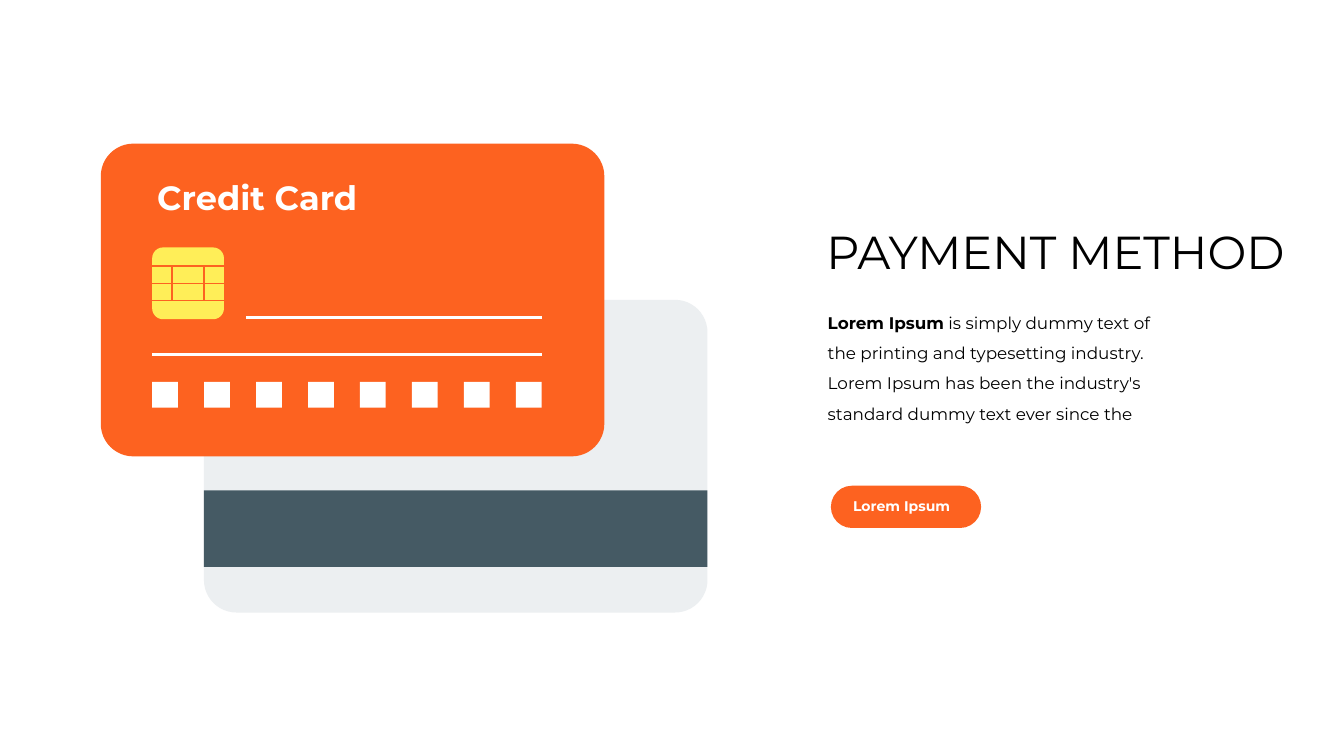
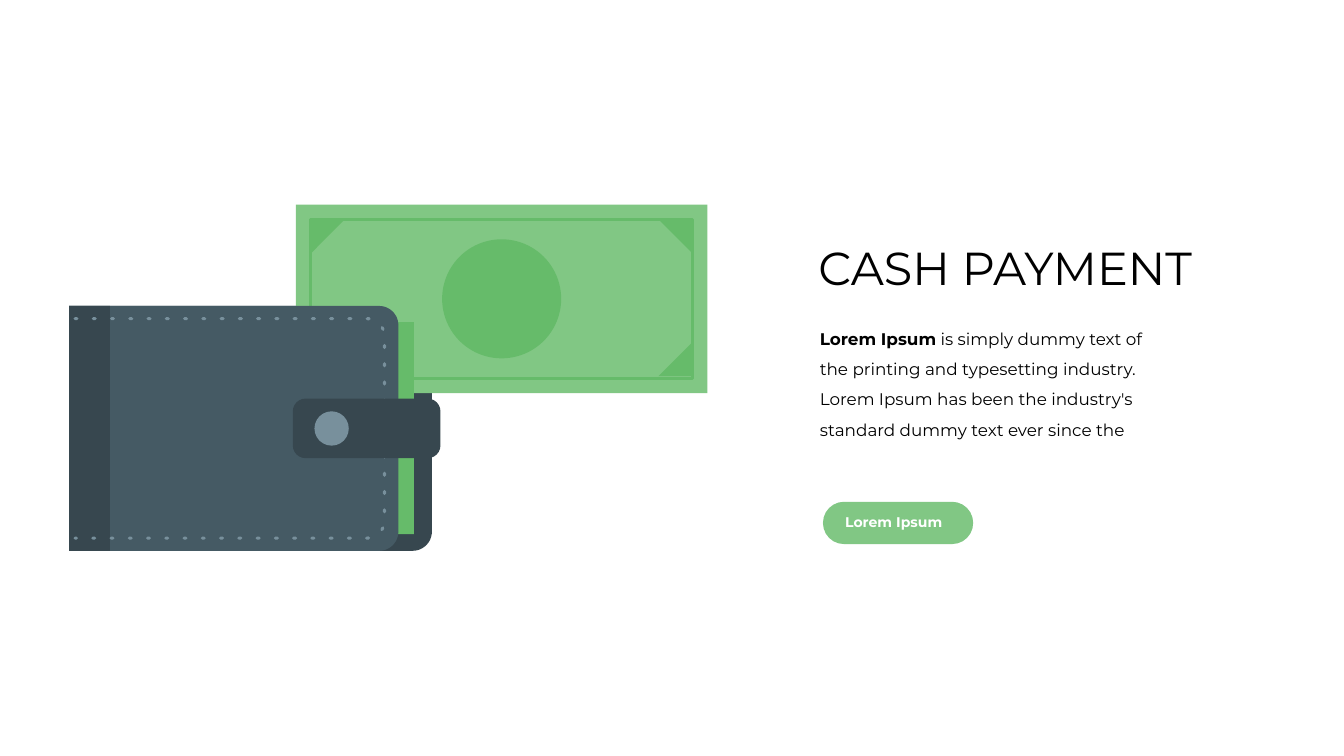
import math
from lxml import etree
from pptx import Presentation
from pptx import util as u
from pptx.dml.color import RGBColor
from pptx.enum import shapes, text
from pptx.oxml import ns

Cm, Pt = u.Cm, u.Pt
FONT = "Montserrat"
ORANGE, YELLOW, WHITE, BLACK = "FD6220", "FFEE58", "FFFFFF", "000000"
PALE, SLATE, DARK, STITCH = "ECEFF1", "455A64", "37474F", "78909C"
GREEN, DEEP_GREEN = "81C784", "66BB6A"
RECT = shapes.MSO_SHAPE.RECTANGLE
ROUND = shapes.MSO_SHAPE.ROUNDED_RECTANGLE
OVAL = shapes.MSO_SHAPE.OVAL
THIN, THICK = 2.21, 4.42
BODY = (" is simply dummy text of the printing and typesetting industry. "
        "Lorem Ipsum has been the industry's standard dummy text ever since the")


def rgb(value):
    return RGBColor.from_string(value)


def paint(sp, fill=None, line=None, weight=THICK):
    sp.shadow.inherit = False
    if fill:
        sp.fill.solid()
        sp.fill.fore_color.rgb = rgb(fill)
    else:
        sp.fill.background()
    if line:
        sp.line.color.rgb = rgb(line)
        sp.line.width = Pt(weight)
    else:
        sp.line.fill.background()
    return sp


def shape(s, kind, x, y, w, h, fill=None, radius=None, **outline):
    sp = s.shapes.add_shape(kind, Cm(x), Cm(y), Cm(w), Cm(h))
    if radius is not None:
        sp.adjustments[0] = radius / min(w, h)
    return paint(sp, fill, **outline)


def polygon(s, points, fill=None, close=True, **outline):
    pts = [(Cm(x), Cm(y)) for x, y in points]
    fb = s.shapes.build_freeform(*pts[0])
    fb.add_line_segments(pts[1:], close=close)
    return paint(fb.convert_to_shape(), fill, **outline)


def rule(s, x1, x2, y, color, weight):
    ln = s.shapes.add_connector(shapes.MSO_CONNECTOR.STRAIGHT,
                                Cm(x1), Cm(y), Cm(x2), Cm(y))
    ln.line.color.rgb = rgb(color)
    ln.line.width = Pt(weight)
    etree.SubElement(ln._element.spPr, ns.qn("a:effectLst"))


def label(s, x, y, w, h, runs, size, color=BLACK, wrap=True, **para):
    """Text box; runs are (text, bold) pairs of one paragraph."""
    tf = s.shapes.add_textbox(Cm(x), Cm(y), Cm(w), Cm(h)).text_frame
    tf.word_wrap = wrap
    p = tf.paragraphs[0]
    for key, value in para.items():
        setattr(p, key, value)
    for words, bold in runs:
        r = p.add_run()
        r.text = words
        for key, value in {"name": FONT, "size": Pt(size), "bold": bold}.items():
            setattr(r.font, key, value)
        r.font.color.rgb = rgb(color)


def round_right(x, y, w, h, radius, steps=12):
    """Points from top left to bottom left, with both right corners rounded."""
    points = [(x, y)]
    for cy, start in ((y + radius, -90), (y + h - radius, 0)):
        for i in range(steps + 1):
            a = math.radians(start + 90 * i / steps)
            points.append((x + w - radius + radius * math.cos(a),
                           cy + radius * math.sin(a)))
    return points + [(x, y + h)]


def dash_round(sp, dash, gap):
    """Round-ended dashes; lengths in percent of the line width."""
    ln = sp.line._get_or_add_ln()
    ln.set("cap", "rnd")
    cust = etree.Element(ns.qn("a:custDash"))
    etree.SubElement(cust, ns.qn("a:ds"), d=str(dash * 1000), sp=str(gap * 1000))
    ln.find(ns.qn("a:solidFill")).addnext(cust)


# Text column with its button
def text_panel(s, x, y, title, accent):
    label(s, x, y, 26.8, 3.07, [(title, False)], 66)
    label(s, x + 0.07, y + 3.99, 18.31, 6.22,
          [("Lorem Ipsum", True), (BODY, False)], 24, line_spacing=1.5)
    shape(s, ROUND, x + 0.48, y + 13.35, 7.57, 2.13, accent, radius=1.06)
    label(s, x + 1.2, y + 13.82, 5.69, 1.12, [("Lorem Ipsum", True)], 20, WHITE,
          wrap=False, alignment=text.PP_ALIGN.CENTER)


# Chip on the card
def chip(s, x, y, size):
    shape(s, ROUND, x, y, size, size, YELLOW, radius=0.55)
    top, pitch = y + 0.94, 0.87
    for i in range(3):
        rule(s, x, x + size, top + i * pitch, ORANGE, THIN)
    shape(s, RECT, x + 0.99, top, 1.63, 2 * pitch, line=ORANGE, weight=THIN)


# Two overlapping cards
def credit_cards(s, x, y):
    w, h, radius = 25.38, 15.76, 1.64
    back_x, back_y = x + 5.2, y + 7.87
    shape(s, ROUND, back_x, back_y, w, h, PALE, radius=radius)
    shape(s, RECT, back_x, back_y + 9.6, w, 3.86, SLATE)

    shape(s, ROUND, x, y, w, h, ORANGE, radius=radius)
    left, right = x + 2.59, x + 22.22
    chip(s, left, y + 5.23, 3.62)
    rule(s, left, right, y + 10.64, WHITE, THICK)
    rule(s, x + 7.32, right, y + 8.76, WHITE, THICK)
    count, side = 8, 1.3
    pitch = (right - left - side) / (count - 1)
    for i in range(count):
        shape(s, RECT, left + i * pitch, y + 12.01, side, side, WHITE)
    label(s, left, y + 1.57, 13.08, 2.31, [("Credit Card", True)], 48, WHITE)


# Banknote with a framed border
def banknote(s, x, y):
    w, h, inset, leg, disc = 20.75, 9.5, 0.75, 1.72, 6
    shape(s, RECT, x, y, w, h, GREEN)
    shape(s, RECT, x + inset, y + inset, w - 2 * inset, h - 2 * inset,
          GREEN, line=DEEP_GREEN)
    for cx, dx in ((x + inset, leg), (x + w - inset, -leg)):
        for cy, dy in ((y + inset, leg), (y + h - inset - 0.1, -leg)):
            polygon(s, [(cx, cy), (cx + dx, cy), (cx, cy + dy)], DEEP_GREEN)
    shape(s, OVAL, x + (w - disc) / 2, y + (h - disc) / 2, disc, disc, DEEP_GREEN)


# Front of the wallet, with stitching and strap
def wallet_front(s, x, y, h, radius):
    shape(s, RECT, x + 1.02, y + 0.81, 16.36, 10.69, DEEP_GREEN)
    polygon(s, round_right(x, y, 16.6, h, radius), SLATE)
    shape(s, RECT, x, y, 2.06, h, DARK)
    seam = round_right(x + 0.3, y + 0.64, 15.6, h - 1.28, 0.89)
    dash_round(polygon(s, seam, close=False, line=STITCH), 165, 425)
    strap_x, strap_y = x + 11.28, y + 4.67
    shape(s, ROUND, strap_x, strap_y, 7.44, 3, DARK, radius=0.64)
    shape(s, OVAL, strap_x + 1.09, strap_y + 0.64, 1.73, 1.73, STITCH)


# Wallet holding a banknote
def wallet(s, x, y):
    h, radius = 12.34, 0.97
    polygon(s, round_right(x, y, 18.29, h, radius), DARK)
    banknote(s, x + 11.43, y - 5.11)
    wallet_front(s, x, y, h, radius)


def main():
    prs = Presentation()
    prs.slide_width, prs.slide_height = Cm(67.74), Cm(38.1)
    blank = prs.slide_layouts[6]

    s = prs.slides.add_slide(blank)
    credit_cards(s, 5.08, 7.24)
    text_panel(s, 41.4, 11.13, "PAYMENT METHOD", ORANGE)

    s = prs.slides.add_slide(blank)
    wallet(s, 3.48, 15.42)
    text_panel(s, 41, 11.94, "CASH PAYMENT", GREEN)

    prs.save("out.pptx")


if __name__ == "__main__":
    main()
